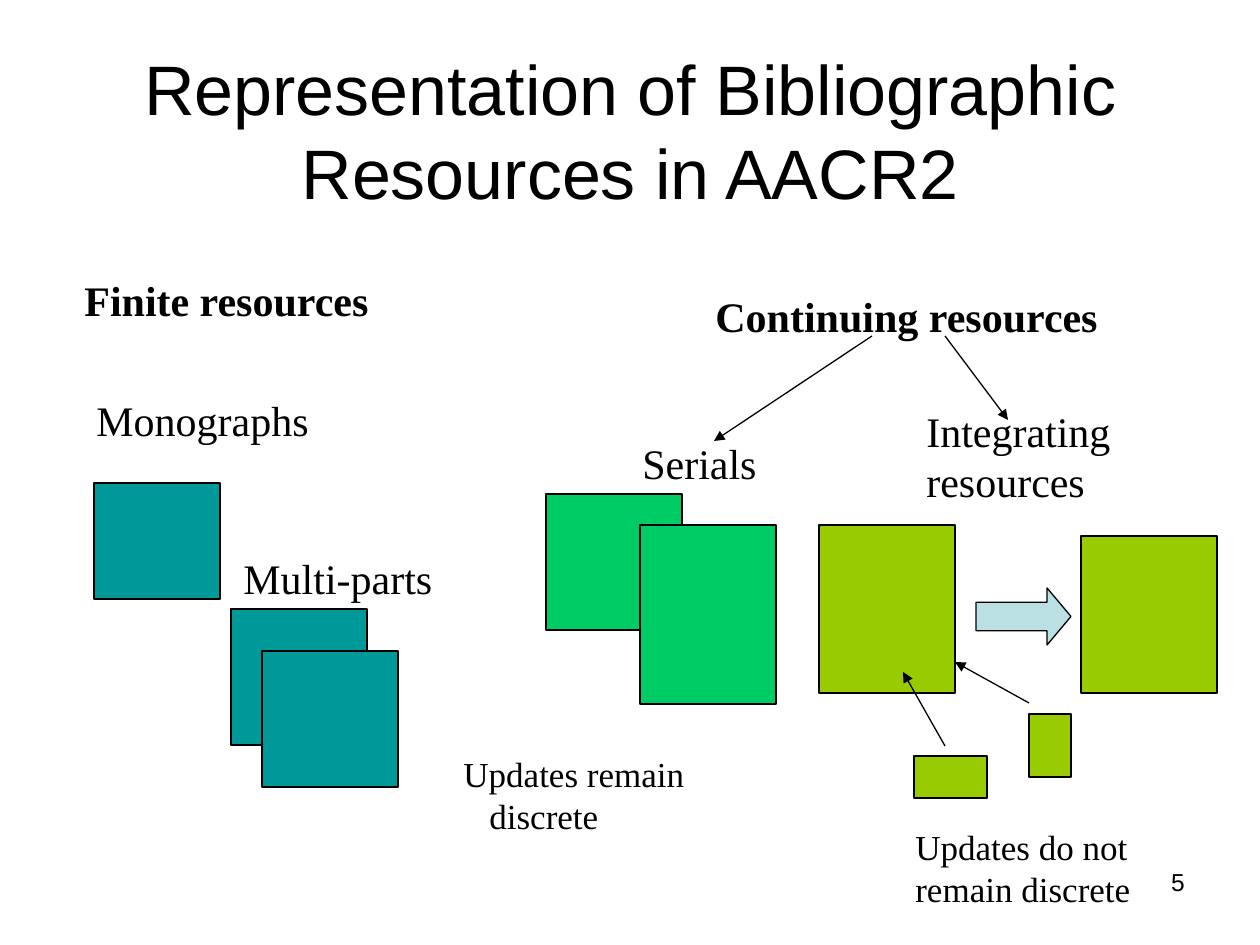
from lxml import etree
from pptx import Presentation, util as u
from pptx.dml.color import RGBColor
from pptx.enum import shapes as s, text as t
from pptx.oxml.ns import qn

SCALE = 914400 / 126
BLACK = "000000"
TEAL, GREEN, LIME, PALE = "009999", "00CC66", "99CC00", "BBE0E3"
SERIF = "Times New Roman"


def px(n):
    return u.Emu(round(n * SCALE))


def color(code):
    return RGBColor.from_string(code)


def apply(obj, vals):
    for key, val in vals.items():
        setattr(obj, key, val)


def stroke(item):
    item.line.color.rgb = color(BLACK)
    item.line.width = u.Pt(0.75)


def label(page, box, lines, size, name=SERIF, bold=False, wrap=True,
          align=t.PP_ALIGN.LEFT, anchor=t.MSO_ANCHOR.TOP):
    frame = page.shapes.add_textbox(*map(px, box)).text_frame
    apply(frame, {"word_wrap": wrap, "vertical_anchor": anchor})
    for i, (words, inset) in enumerate(lines):
        para = frame.paragraphs[0] if i == 0 else frame.add_paragraph()
        para.alignment = align
        if inset:
            para._p.get_or_add_pPr().set("marL", str(px(inset)))
        run = para.add_run()
        run.text = words
        apply(run.font, {"size": u.Pt(size), "name": name, "bold": bold})
        run.font.color.rgb = color(BLACK)


def block(page, box, fill, kind=s.MSO_SHAPE.RECTANGLE):
    item = page.shapes.add_shape(kind, *map(px, box))
    item.shadow.inherit = False
    item.fill.solid()
    item.fill.fore_color.rgb = color(fill)
    stroke(item)
    return item


def arrow(page, ends):
    item = page.shapes.add_connector(s.MSO_CONNECTOR.STRAIGHT, *map(px, ends))
    stroke(item)
    etree.SubElement(item.line._get_or_add_ln(), qn("a:tailEnd"), type="triangle")
    etree.SubElement(item._element.spPr, qn("a:effectLst"))


def main():
    deck = Presentation()
    apply(deck, {"slide_width": px(1260), "slide_height": px(945)})
    page = deck.slides.add_slide(deck.slide_layouts[6])

    label(page, (63, 38, 1134, 183),
          [("Representation of Bibliographic Resources in AACR2", 0)], 40, "Arial",
          align=t.PP_ALIGN.CENTER, anchor=t.MSO_ANCHOR.MIDDLE)

    for box, fill in [
        ((94, 483, 126, 116), TEAL),
        ((231, 609, 136, 136), TEAL),
        ((262, 651, 136, 136), TEAL),
        ((546, 494, 136, 136), GREEN),
        ((640, 525, 136, 179), GREEN),
        ((819, 525, 136, 168), LIME),
        ((1081, 536, 136, 157), LIME),
        ((914, 756, 73, 42), LIME),
        ((1029, 714, 42, 63), LIME),
    ]:
        block(page, box, fill)
    step = block(page, (976, 588, 95, 57), PALE, s.MSO_SHAPE.RIGHT_ARROW)
    step.adjustments[1] = 0.42

    for ends in [
        (872, 336, 714, 441),
        (945, 336, 1008, 420),
        (1029, 703, 955, 662),
        (945, 746, 903, 672),
    ]:
        arrow(page, ends)

    label(page, (72, 268, 311, 63), [("Finite resources", 0)], 24, bold=True, wrap=False)
    label(page, (703, 284, 494, 63), [("Continuing resources", 0)], 24, bold=True)
    for box, words, size in [
        ((84, 388, 262, 63), "Monographs", 24),
        ((231, 546, 273, 63), "Multi-parts", 24),
        ((630, 431, 147, 63), "Serials", 24),
        ((914, 399, 305, 113), "Integrating resources", 24),
        ((903, 819, 242, 97), "Updates do not remain discrete", 20),
    ]:
        label(page, box, [(words, 0)], size)
    label(page, (451, 746, 252, 97), [("Updates remain", 0), ("discrete", 26)], 20)
    label(page, (903, 861, 294, 66), [("5", 0)], 14, "Arial", align=t.PP_ALIGN.RIGHT)

    deck.save("out.pptx")


if __name__ == "__main__":
    main()
